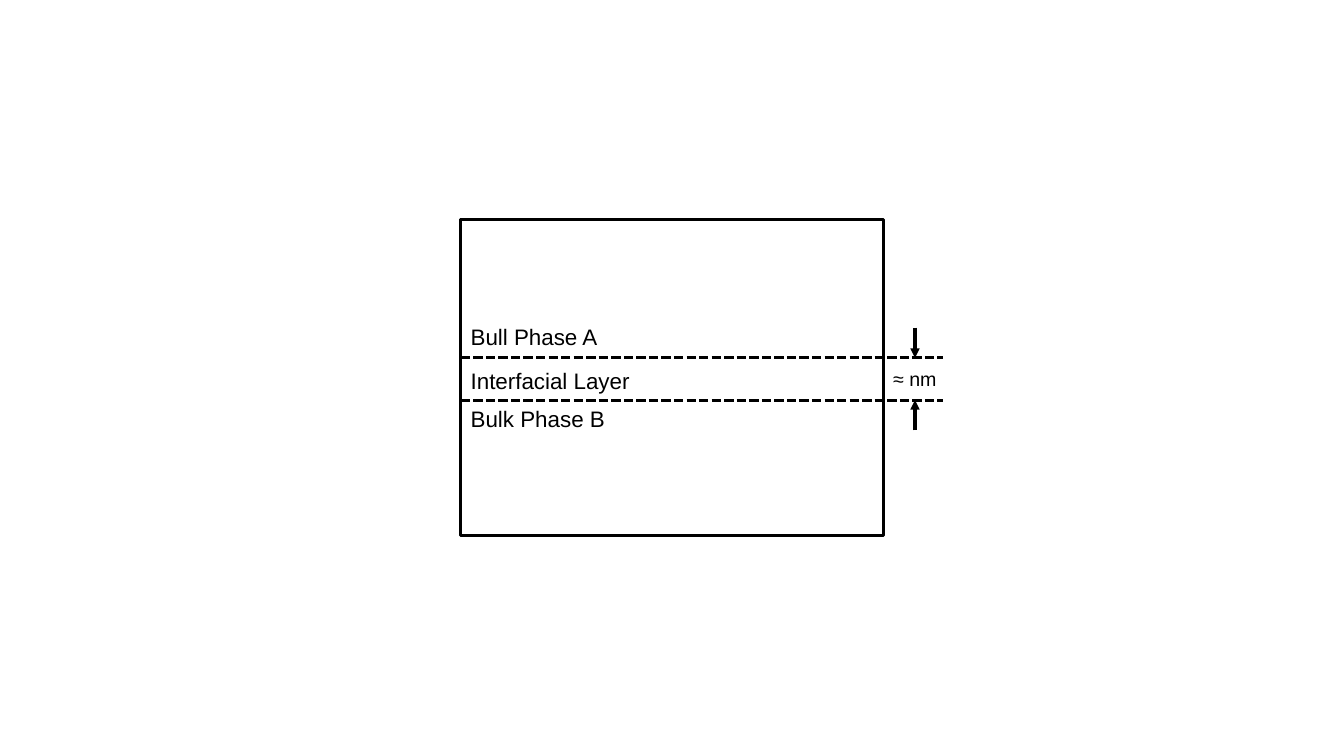
from lxml.etree import SubElement
from pptx import Presentation
from pptx.dml.color import RGBColor
from pptx.enum.dml import MSO_LINE
from pptx.enum.shapes import MSO_CONNECTOR, MSO_SHAPE
from pptx.enum.text import MSO_AUTO_SIZE
from pptx.oxml.ns import qn
from pptx.util import Inches, Pt

BLACK, WHITE = "000000", "FFFFFF"


def color(target, value):
    """Set a colour format from a hex string."""
    target.rgb = RGBColor.from_string(value)


def style_line(line):
    """Give an outline the common weight and colour."""
    color(line.color, BLACK)
    line.width = Pt(2.25)


def add_line(s, x1, y1, x2, y2, dashed=False, arrow=False):
    """Draw a straight line, optionally dashed or with an arrowhead."""
    c = s.shapes.add_connector(MSO_CONNECTOR.STRAIGHT, Inches(x1), Inches(y1),
                               Inches(x2), Inches(y2))
    style_line(c.line)
    if dashed:
        c.line.dash_style = MSO_LINE.SQUARE_DOT
    if arrow:
        SubElement(c.line._get_or_add_ln(), qn("a:tailEnd"), type="triangle")
    SubElement(c._element.spPr, qn("a:effectLst"))


def add_label(s, text, x, y, w, h=0.37, size=16):
    """Add a one-line label."""
    sp = s.shapes.add_textbox(Inches(x), Inches(y), Inches(w), Inches(h))
    tf = sp.text_frame
    tf.word_wrap = False
    tf.auto_size = MSO_AUTO_SIZE.SHAPE_TO_FIT_TEXT
    r = tf.paragraphs[0].add_run()
    r.text = text
    r.font.name = "Arial"
    r.font.size = Pt(size)
    color(r.font.color, BLACK)


def add_phases(s, x, y, w, h, layer_top, layer_bottom):
    """Draw the phase box, the layer boundaries and the phase names."""
    sp = s.shapes.add_shape(MSO_SHAPE.RECTANGLE, Inches(x), Inches(y),
                            Inches(w), Inches(h))
    sp.shadow.inherit = False
    sp.fill.solid()
    color(sp.fill.fore_color, WHITE)
    style_line(sp.line)
    for boundary in (layer_top, layer_bottom):
        add_line(s, x, y + boundary, x + w + 0.59, y + boundary, dashed=True)
    add_label(s, "Bull Phase A", x, y + layer_top - 0.39, 1.47)
    add_label(s, "Interfacial Layer", x, y + layer_top + 0.04, 1.8)
    add_label(s, "Bulk Phase B", x, y + layer_bottom, 1.55)


def add_thickness(s, x, y, w, h):
    """Mark the layer thickness with a label between two facing arrows."""
    add_label(s, "≈ nm", x, y + 0.04, w, 0.34, 14)
    middle = x + w / 2
    for edge, start in ((y, y - 0.3), (y + h, y + h + 0.3)):
        add_line(s, middle, start, middle, edge, arrow=True)


prs = Presentation()
prs.slide_width, prs.slide_height = Inches(13.33), Inches(7.5)
s = prs.slides.add_slide(prs.slide_layouts[6])
left, top, width, height = 4.57, 2.18, 4.19, 3.13
layer_top, layer_bottom = 1.37, 1.79
add_phases(s, left, top, width, height, layer_top, layer_bottom)
add_thickness(s, left + width, top + layer_top, 0.63, layer_bottom - layer_top)
prs.save("out.pptx")
